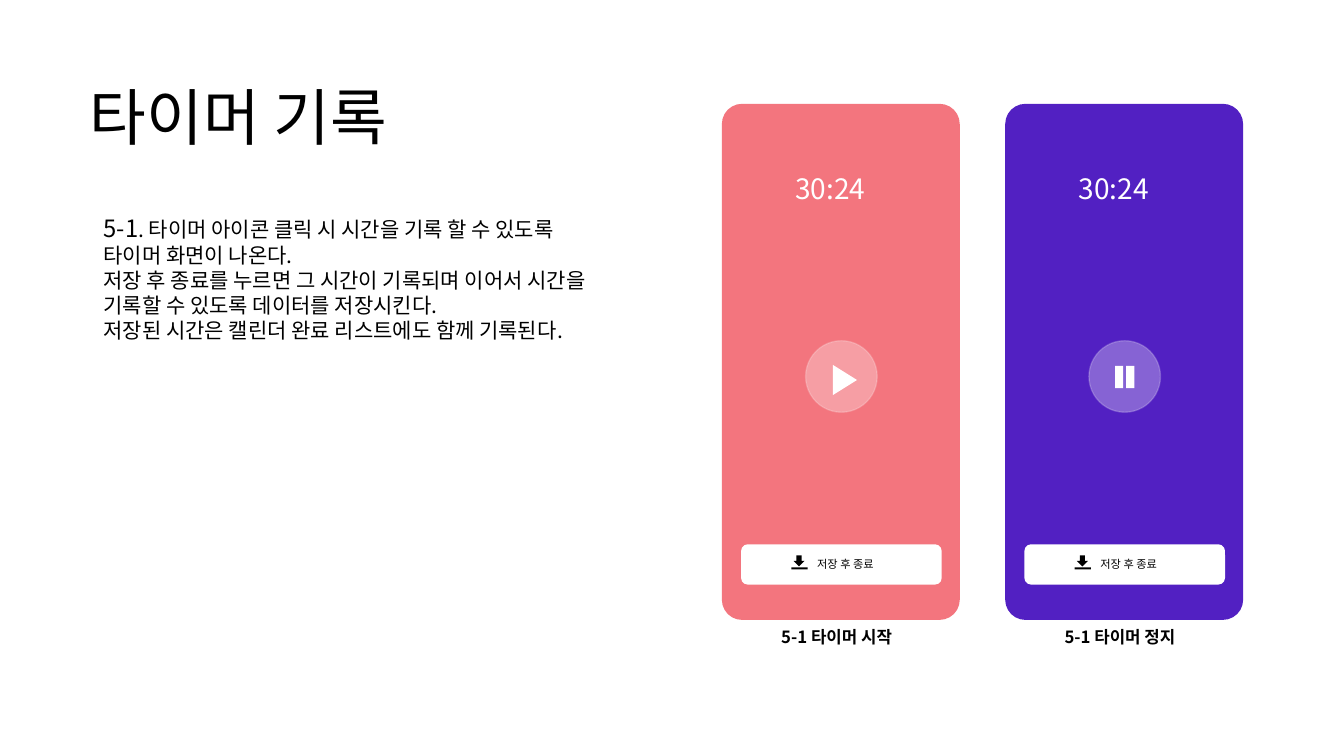
from lxml import etree
from pptx import Presentation
from pptx.dml.color import RGBColor
from pptx.enum.shapes import MSO_SHAPE
from pptx.enum.text import MSO_ANCHOR, MSO_AUTO_SIZE, PP_ALIGN
from pptx.oxml.ns import qn
from pptx.util import Inches, Pt

ROUNDED, OVAL = MSO_SHAPE.ROUNDED_RECTANGLE, MSO_SHAPE.OVAL
RECTANGLE, TRIANGLE = MSO_SHAPE.RECTANGLE, MSO_SHAPE.ISOSCELES_TRIANGLE
DOWN_ARROW = MSO_SHAPE.DOWN_ARROW
MIDDLE = MSO_ANCHOR.MIDDLE
FIXED, GROW = MSO_AUTO_SIZE.NONE, MSO_AUTO_SIZE.SHAPE_TO_FIT_TEXT
LEFT, CENTER = PP_ALIGN.LEFT, PP_ALIGN.CENTER
BLACK, WHITE = "000000", "FFFFFF"
KOREAN = "Noto Sans CJK KR"


def add_run(paragraph, text, size, color=BLACK, name=KOREAN, bold=False):
    run = paragraph.add_run()
    run.text = text
    for attribute, value in {"size": Pt(size), "name": name, "bold": bold}.items():
        setattr(run.font, attribute, value)
    run.font.color.rgb = RGBColor.from_string(color)
    east_asian = etree.SubElement(run.font._element, qn("a:ea"))
    east_asian.set("typeface", KOREAN)


def add_block(kind, left, top, width, height, color):
    block = slide.shapes.add_shape(
        kind, Inches(left), Inches(top), Inches(width), Inches(height))
    block.shadow.inherit = False
    block.fill.solid()
    block.fill.fore_color.rgb = RGBColor.from_string(color)
    block.line.fill.background()
    return block


prs = Presentation()
prs.slide_width, prs.slide_height = Inches(13.33), Inches(7.5)
slide = prs.slides.add_slide(prs.slide_layouts[5])

title = slide.shapes.title
title_place = {"left": 0.79, "top": 0.74, "width": 3.5, "height": 0.92}
for attribute, value in title_place.items():
    setattr(title, attribute, Inches(value))
title_format = {"vertical_anchor": MIDDLE, "auto_size": FIXED, "word_wrap": True}
for attribute, value in title_format.items():
    setattr(title.text_frame, attribute, value)
heading = title.text_frame.paragraphs[0]
heading.alignment = LEFT
heading.line_spacing = 0.9
add_run(heading, "타이머 기록", 44, name="Karla")

description = slide.shapes.add_textbox(
    Inches(0.93), Inches(2.07), Inches(5.66), Inches(1.4)).text_frame
description.auto_size = GROW
description.word_wrap = False
sentences = [
    [". 타이머 아이콘 클릭 시 시간을 기록 할 수 있도록", "타이머 화면이 나온다."],
    ["저장 후 종료를 누르면 그 시간이 기록되며 이어서 시간을",
     "기록할 수 있도록 데이터를 저장시킨다."],
    ["저장된 시간은 캘린더 완료 리스트에도 함께 기록된다."],
]
for number, lines in enumerate(sentences):
    if number == 0:
        paragraph = description.paragraphs[0]
        add_run(paragraph, "5-1", 17)
    else:
        paragraph = description.add_paragraph()
    for position, line in enumerate(lines):
        if position:
            paragraph.add_line_break()
        add_run(paragraph, line, 15)

play = [(TRIANGLE, 1.07, 2.62, 0.3, 0.24, 90)]
pause = [(RECTANGLE, x, 2.6, 0.08, 0.22, 0) for x in (1.09, 1.2)]
screens = [
    (7.16, "F3757E", play, "5-1 타이머 시작"),
    (9.97, "5220C2", pause, "5-1 타이머 정지"),
]
top = 1.03
for left, color, symbol, caption in screens:
    phone = add_block(ROUNDED, left, top, 2.36, 5.12, color)
    phone.adjustments[0] = 0.085

    button = add_block(OVAL, left + 0.83, top + 2.35, 0.71, 0.71, WHITE)
    button.line.color.rgb = RGBColor.from_string(WHITE)
    button.line.width = Pt(1)
    tints = button._element.spPr.iter(qn("a:srgbClr"))
    for tint, opacity in zip(list(tints), (30, 20)):
        etree.SubElement(tint, qn("a:alpha")).set("val", str(opacity * 1000))
    for kind, x, y, width, height, angle in symbol:
        add_block(kind, left + x, top + y, width, height, WHITE).rotation = angle

    save = add_block(ROUNDED, left + 0.19, top + 4.37, 1.99, 0.4, WHITE)
    save.text_frame.vertical_anchor = MIDDLE
    save.text_frame.margin_left = Inches(0.18)
    save_label = save.text_frame.paragraphs[0]
    save_label.alignment = CENTER
    add_run(save_label, "저장 후 종료", 8)
    arrow = add_block(DOWN_ARROW, left + 0.71, top + 4.48, 0.11, 0.11, BLACK)
    arrow.adjustments[0] = 0.46
    add_block(RECTANGLE, left + 0.69, top + 4.6, 0.16, 0.02, BLACK)

    labels = [
        ("30:24", 0.63, 0.62, 1.1, 0.44, False, 20, WHITE, False),
        (caption, 0.49, 5.14, 1.44, 0.3, True, 12, BLACK, True),
    ]
    for text, x, y, width, height, wrap, size, ink, bold in labels:
        label = slide.shapes.add_textbox(
            Inches(left + x), Inches(top + y), Inches(width), Inches(height)).text_frame
        label.auto_size = GROW
        label.word_wrap = wrap
        add_run(label.paragraphs[0], text, size, ink, bold=bold)

prs.save("out.pptx")
